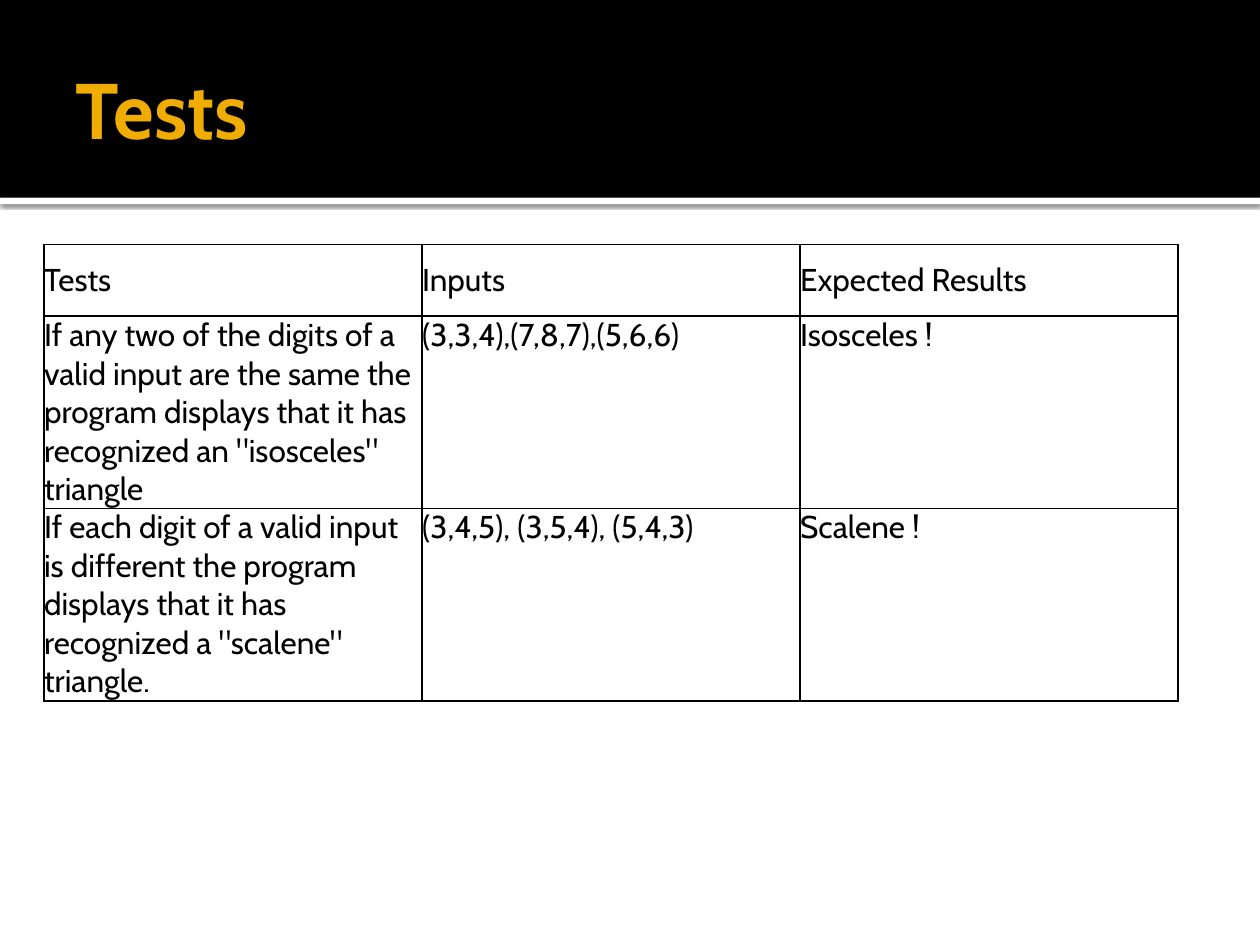
from dataclasses import dataclass
from typing import Any

from lxml.etree import SubElement
from pptx import Presentation
from pptx.dml.color import RGBColor
from pptx.enum.shapes import MSO_SHAPE as Preset
from pptx.enum.text import MSO_ANCHOR as Anchor, PP_ALIGN as Align
from pptx.oxml import parse_xml
from pptx.oxml.ns import nsdecls, qn
from pptx.util import Inches, Pt

BLACK = RGBColor(0x00, 0x00, 0x00)
WHITE = RGBColor(0xFF, 0xFF, 0xFF)
GOLD = RGBColor(0xF0, 0xAD, 0x00)
FONT = "Cabin"
TITLE_FORMAT = {"name": FONT, "size": Pt(45), "bold": True}
CELL_FORMAT = {"name": FONT, "size": Pt(18), "bold": False}
COLUMN_WIDTH = 3
ROW_HEIGHTS = (0.57, 1.14, 1.14)


@dataclass
class Band:
    """A full-width band of the header."""
    top: float
    height: float
    color: RGBColor
    shadow: bool = False


@dataclass
class TestCase:
    """One row of the test table."""
    test: str
    inputs: str
    result: str


BANDS = (Band(1.57, 0.05, WHITE, shadow=True), Band(0, 1.57, BLACK))
TEST_CASES = (
    TestCase("Tests ", "Inputs", "Expected Results"),
    TestCase("If any two of the digits of a valid input are the same the program "
             "displays that it has recognized an \"isosceles\" triangle",
             "(3,3,4),(7,8,7),(5,6,6)", "Isosceles !"),
    TestCase("If each digit of a valid input is different the program displays "
             "that it has recognized a \"scalene\" triangle.",
             "(3,4,5), (3,5,4), (5,4,3)", "Scalene !"),
)


def set_all(target: Any, values: dict[str, Any]) -> None:
    """Set every named attribute on the target."""
    for name, value in values.items():
        setattr(target, name, value)


def format_text(paragraph: Any, values: dict[str, Any], color: RGBColor) -> None:
    """Format the runs of a left-aligned paragraph."""
    paragraph.alignment = Align.LEFT
    for run in paragraph.runs:
        set_all(run.font, values)
        run.font.color.rgb = color


def add_band(slide: Any, band: Band) -> None:
    """Draw a header band, with a soft shadow below it if wanted."""
    shape = slide.shapes.add_shape(Preset.RECTANGLE, 0, Inches(band.top),
                                   Inches(10), Inches(band.height))
    shape.fill.solid()
    shape.fill.fore_color.rgb = band.color
    shape.line.fill.background()
    shape.shadow.inherit = False
    if band.shadow:
        effects = shape.element.spPr.find(qn("a:effectLst"))
        effects.append(parse_xml(
            f'<a:outerShdw {nsdecls("a")} blurRad="{Pt(2.5)}" dist="{Pt(0.8)}" '
            'dir="5400000" algn="tl" rotWithShape="0"><a:srgbClr val="000000">'
            '<a:alpha val="60000"/></a:srgbClr></a:outerShdw>'))


def add_title(slide: Any, text: str) -> None:
    """Fill the title placeholder and bring it in front of the bands."""
    title = slide.shapes.title
    set_all(title, {"left": Inches(0.5), "top": Inches(0.17),
                    "width": Inches(9), "height": Inches(1.37)})
    frame = title.text_frame
    frame.text = text
    set_all(frame, {"vertical_anchor": Anchor.MIDDLE, "word_wrap": True,
                    "margin_left": Inches(0.1), "margin_right": Inches(0.05),
                    "margin_top": Inches(0.05), "margin_bottom": Inches(0.05)})
    format_text(frame.paragraphs[0], TITLE_FORMAT, GOLD)
    title.element.getparent().append(title.element)


def add_borders(cell: Any) -> None:
    """Give a cell thin black lines on all sides."""
    properties = cell._tc.get_or_add_tcPr()
    for position, side in enumerate(("lnL", "lnR", "lnT", "lnB")):
        line = SubElement(properties, qn(f"a:{side}"), w=str(Pt(1)))
        fill = SubElement(line, qn("a:solidFill"))
        SubElement(fill, qn("a:srgbClr"), val=str(BLACK))
        properties.insert(position, line)


def fill_cell(cell: Any, text: str, anchor: Any) -> None:
    """Write and format one table cell."""
    cell.text = text
    set_all(cell, {"margin_left": 0, "margin_right": 0, "margin_top": 0,
                   "margin_bottom": 0, "vertical_anchor": anchor})
    cell.fill.background()
    format_text(cell.text_frame.paragraphs[0], CELL_FORMAT, BLACK)
    add_borders(cell)


def add_test_table(slide: Any, cases: tuple[TestCase, ...]) -> None:
    """Draw the table of tests, inputs and expected results."""
    table = slide.shapes.add_table(
        len(cases), 3, Inches(0.35), Inches(1.94),
        Inches(3 * COLUMN_WIDTH), Inches(sum(ROW_HEIGHTS))).table
    set_all(table, {"first_row": False, "horz_banding": False})
    for column in table.columns:
        column.width = Inches(COLUMN_WIDTH)
    for index, (case, height) in enumerate(zip(cases, ROW_HEIGHTS)):
        row = table.rows[index]
        row.height = Inches(height)
        anchor = Anchor.TOP if index else Anchor.MIDDLE
        for cell, text in zip(row.cells, (case.test, case.inputs, case.result)):
            fill_cell(cell, text, anchor)


def main() -> None:
    """Build and save the presentation."""
    presentation = Presentation()
    set_all(presentation, {"slide_width": Inches(10), "slide_height": Inches(7.5)})
    slide = presentation.slides.add_slide(presentation.slide_layouts[5])
    for band in BANDS:
        add_band(slide, band)
    add_title(slide, "Tests")
    add_test_table(slide, TEST_CASES)
    presentation.save("out.pptx")


main()
